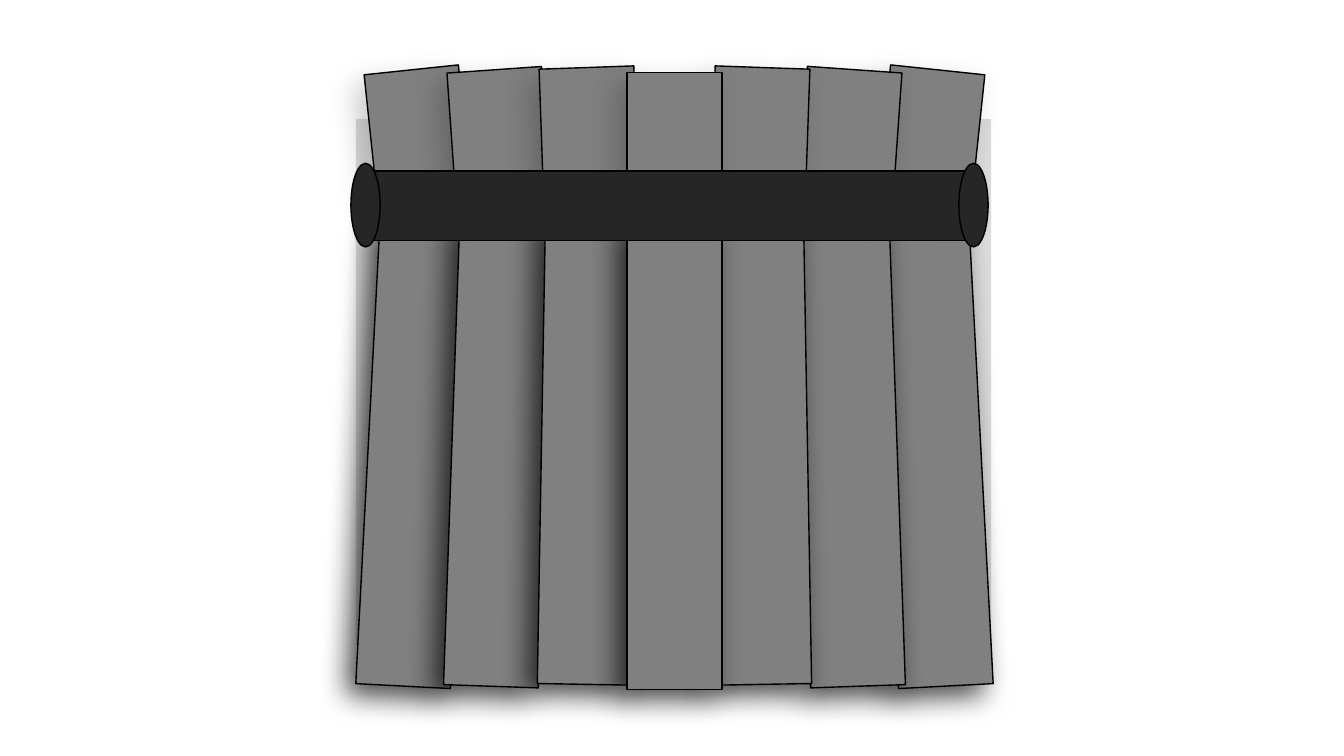
from lxml.etree import SubElement
from pptx import Presentation
from pptx.dml.color import RGBColor as Rgb
from pptx.enum.shapes import MSO_SHAPE as Kind
from pptx.oxml.ns import qn
from pptx.util import Inches, Pt

COLORS = {"back": "DBDBDB", "slat": "808080", "bar": "262626", "line": "000000"}
SLATS = [
    (3.65, 2.17, 3),
    (4.48, 2.17, 2),
    (5.37, 2.15, 1),
    (8.79, 2.17, -3),
    (7.96, 2.17, -2),
    (7.07, 2.15, -1),
    (6.22, 2.2, 0),
]
WIDTH, LOW, HIGH, RISE = 0.94, 4.64, 1.35, 1.48


class Board:
    """Draws the slatted basket pieces on one slide in a shared style."""

    def __init__(self, deck):
        self.slide = deck.slides.add_slide(deck.slide_layouts[6])

    def piece(self, kind, box, color, turn=0, edge=True):
        shape = self.slide.shapes.add_shape(kind, *map(Inches, box))
        shape.rotation = turn
        shape.shadow.inherit = False
        shape.fill.solid()
        shape.fill.fore_color.rgb = Rgb.from_string(COLORS[color])
        if edge:
            shape.line.color.rgb = Rgb.from_string(COLORS["line"])
            shape.line.width = Pt(1)
        else:
            shape.line.fill.background()
        return shape

    def slat(self, box, turn, shade, flip=False):
        shape = self.piece(Kind.RECTANGLE, box, "slat", turn)
        props = shape.element.spPr
        if flip:
            props.find(qn("a:xfrm")).set("flipV", "1")
        cast = SubElement(
            props.find(qn("a:effectLst")), qn("a:outerShdw"),
            blurRad=str(Pt(20)), dist=str(Pt(10)), dir=str(135 * 60000),
            algn="tr", rotWithShape="0")
        tint = SubElement(cast, qn("a:srgbClr"), val=COLORS["line"])
        SubElement(tint, qn("a:alpha"), val=str(shade * 1000))

    def bar(self, box):
        self.piece(Kind.RECTANGLE, box, "bar", 90)

    def knob(self, left):
        self.piece(Kind.OVAL, (left, 1.89, 0.83, 0.29), "bar", 90)


def main():
    deck = Presentation()
    deck.slide_width, deck.slide_height = Inches(13.33), Inches(7.5)
    board = Board(deck)
    board.piece(Kind.RECTANGLE, (3.53, 1.18, 6.3, 5.21), "back", edge=False)
    for left, top, tilt in SLATS:
        board.slat((left, top, WIDTH, LOW), tilt, 70)
    for left, top, tilt in SLATS:
        inset = 0.03 * int(tilt / 3)
        board.slat((left + inset, top - RISE, WIDTH, HIGH), -2 * tilt, 20, flip=True)
    board.bar((6.31, -1.01, 0.69, 6.1))
    for left in (9.24, 3.21):
        board.knob(left)
    deck.save("out.pptx")


if __name__ == "__main__":
    main()
